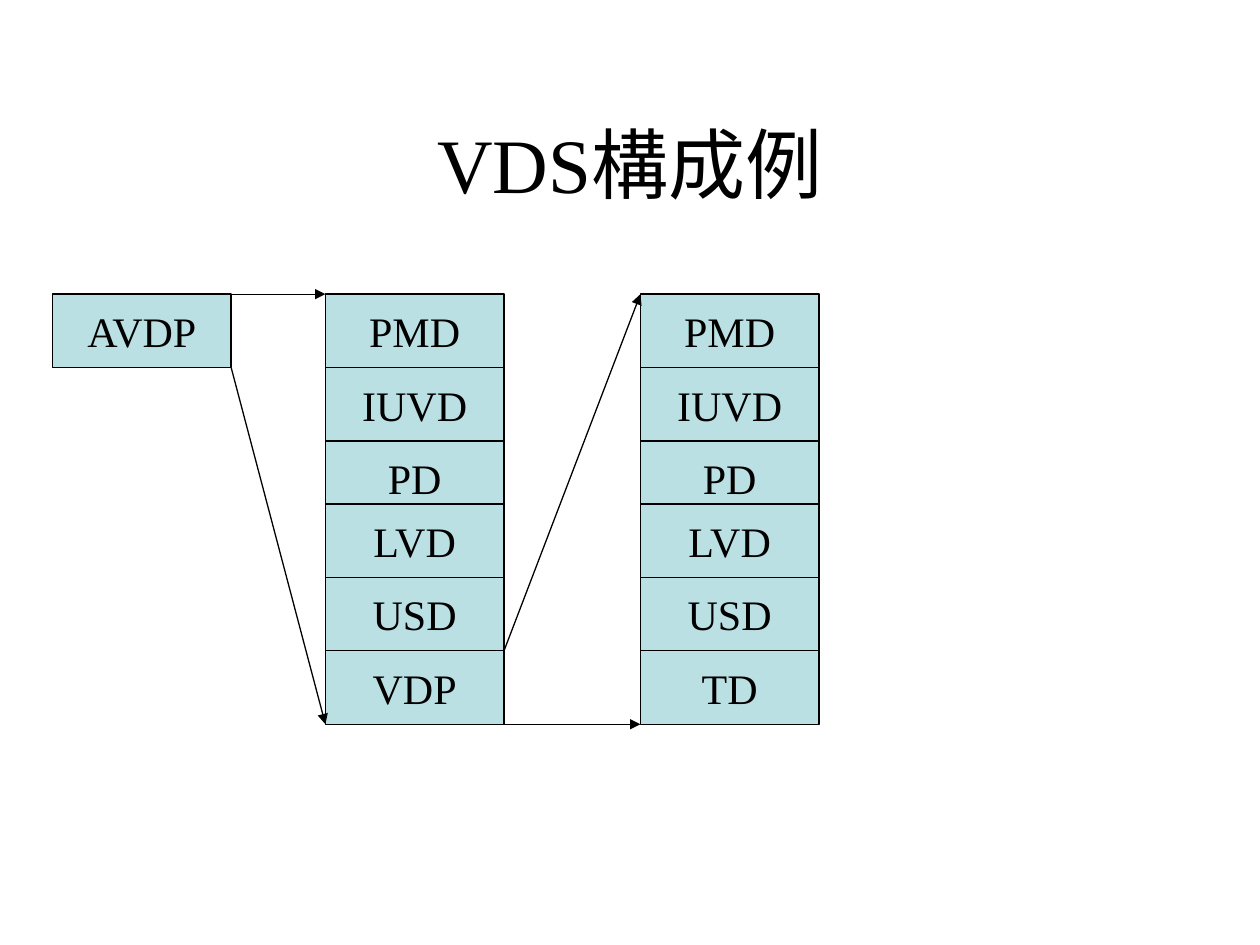
from lxml import etree
from pptx import Presentation
from pptx.dml.color import RGBColor
from pptx.enum.shapes import MSO_CONNECTOR, MSO_SHAPE
from pptx.enum.text import MSO_ANCHOR, PP_ALIGN
from pptx.oxml.ns import qn
from pptx.util import Cm, Pt

RECT = MSO_SHAPE.RECTANGLE
STRAIGHT = MSO_CONNECTOR.STRAIGHT
MIDDLE = MSO_ANCHOR.MIDDLE
CENTER = PP_ALIGN.CENTER
BLACK = RGBColor(0x00, 0x00, 0x00)
PALE_TEAL = RGBColor(0xBB, 0xE0, 0xE3)
FONT = "Times New Roman"

BOX_W, BOX_H = 3.6, 1.48
AVDP_X, MAIN_X, NEXT_X = 1.06, 6.56, 12.91
TOP, LVD_TOP = 5.93, 10.16
ROW_TOPS = [start + i * BOX_H for start in (TOP, LVD_TOP) for i in range(3)]
VDP_TOP = ROW_TOPS[-1]
BOTTOM = VDP_TOP + BOX_H

COLUMNS = [
    (MAIN_X, ["PMD", "IUVD", "PD", "LVD", "USD", "VDP"]),
    (AVDP_X, ["AVDP"]),
    (NEXT_X, ["PMD", "IUVD", "PD", "LVD", "USD", "TD"]),
]
ARROWS = [
    (AVDP_X + BOX_W, TOP, MAIN_X, TOP),
    (AVDP_X + BOX_W, TOP + BOX_H, MAIN_X, BOTTOM),
    (MAIN_X + BOX_W, VDP_TOP, NEXT_X, TOP),
    (MAIN_X + BOX_W, BOTTOM, NEXT_X, BOTTOM),
]


def set_text(sp, text, size, wrap):
    tf = sp.text_frame
    tf.text = text
    tf.word_wrap = wrap
    tf.vertical_anchor = MIDDLE
    p = tf.paragraphs[0]
    p.alignment = CENTER
    r = p.runs[0]
    r.font.name = FONT
    r.font.size = Pt(size)
    r.font.color.rgb = BLACK


prs = Presentation()
prs.slide_width = Cm(25.4)
prs.slide_height = Cm(19.05)
s = prs.slides.add_slide(prs.slide_layouts[6])

title = s.shapes.add_textbox(Cm(1.9), Cm(1.69), Cm(21.59), Cm(3.18))
set_text(title, "VDS構成例", 44, True)

for x, labels in COLUMNS:
    for y, label in zip(ROW_TOPS, labels):
        sp = s.shapes.add_shape(RECT, Cm(x), Cm(y), Cm(BOX_W), Cm(BOX_H))
        sp.shadow.inherit = False
        sp.fill.solid()
        sp.fill.fore_color.rgb = PALE_TEAL
        sp.line.color.rgb = BLACK
        sp.line.width = Pt(0.75)
        set_text(sp, label, 24, False)

for x1, y1, x2, y2 in ARROWS:
    cxn = s.shapes.add_connector(STRAIGHT, Cm(x1), Cm(y1), Cm(x2), Cm(y2))
    cxn.line.color.rgb = BLACK
    cxn.line.width = Pt(0.75)
    ln = cxn.line._get_or_add_ln()
    etree.SubElement(ln, qn("a:tailEnd"), type="triangle")
    etree.SubElement(ln.getparent(), qn("a:effectLst"))

prs.save("out.pptx")
